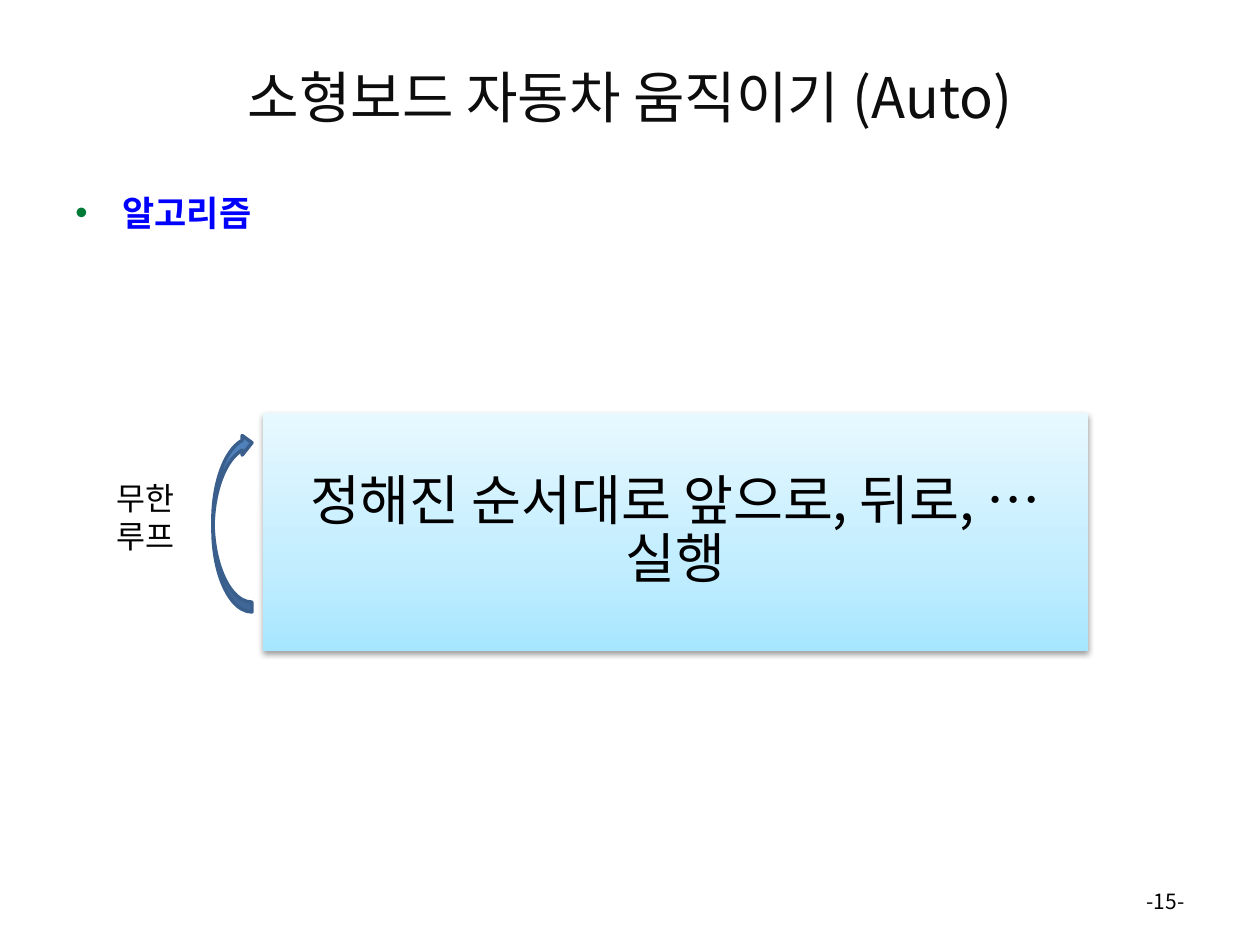
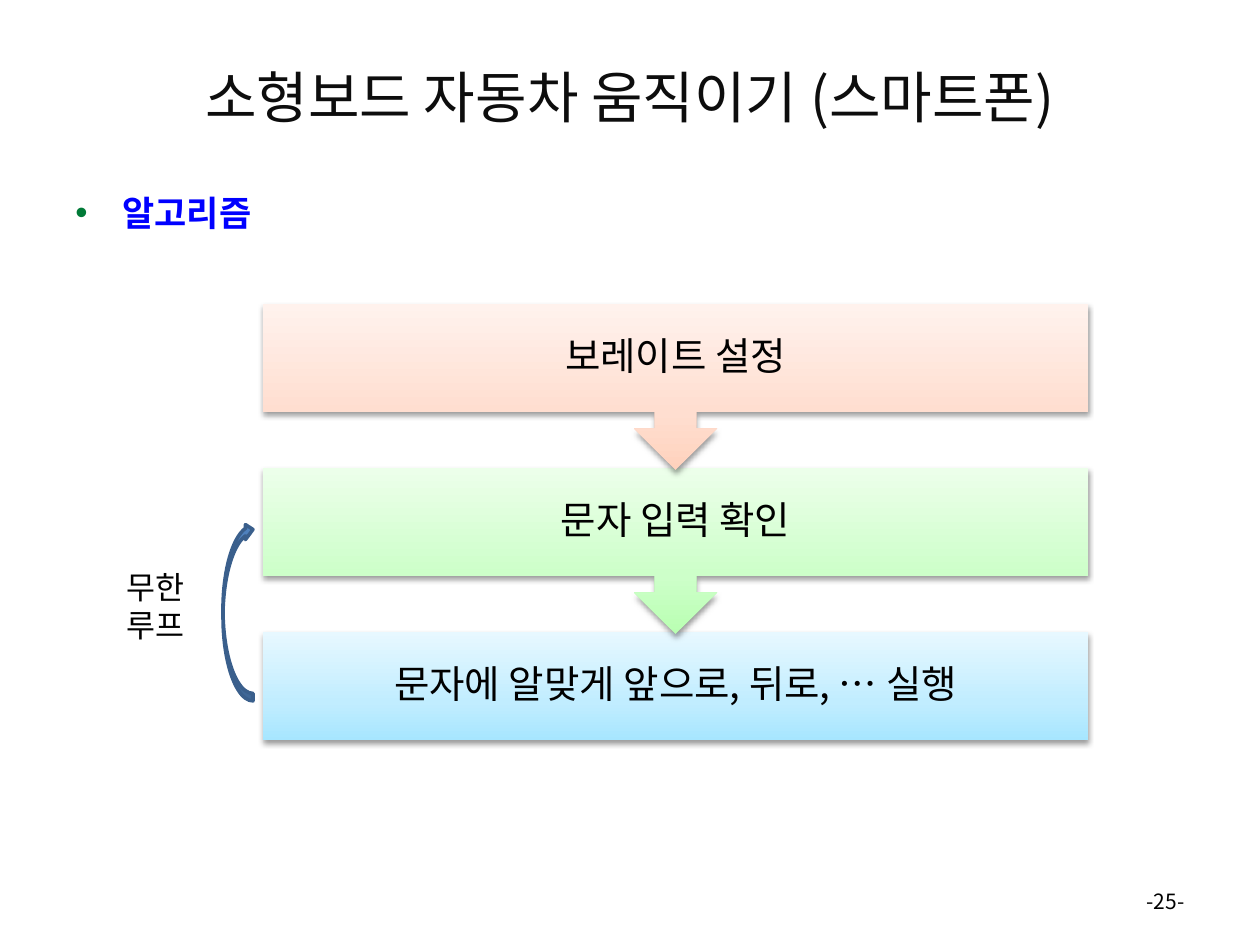
import pptx
import pptx.util
import pptx.oxml
import pptx.oxml.ns
import pptx.dml.color
import pptx.enum.shapes
import pptx.enum.text

SCALE = 914400 / 126  # EMU per px
FONT = "Noto Sans CJK KR"
ALIGN = pptx.enum.text.PP_ALIGN
MIDDLE = pptx.enum.text.MSO_ANCHOR.MIDDLE
SHAPE = pptx.enum.shapes.MSO_SHAPE
qn = pptx.oxml.ns.qn
SPACE = 'xmlns:a="http://schemas.openxmlformats.org/drawingml/2006/main"'

# Gradients run from the bottom edge to the top edge
BLUE = ("A7E6FF", "C1EDFF", "E7F8FF")
GREEN = ("B9FFB2", "CDFFC9", "ECFFEA")
ORANGE = ("FFD2BD", "FFDED0", "FFF2ED")
STOPS = (0, 35000, 100000)
SHADOW = (f'<a:effectLst {SPACE}><a:outerShdw blurRad="40000" dist="20000" dir="5400000" '
          'rotWithShape="0"><a:srgbClr val="000000"><a:alpha val="38000"/></a:srgbClr>'
          '</a:outerShdw></a:effectLst>')


def color(value):
    return pptx.dml.color.RGBColor.from_string(value)


def write(shape, lines, size, ink="000000", bold=False, frame_format=None, **para_format):
    frame = shape.text_frame
    frame.word_wrap = True
    for name, value in (frame_format or {}).items():
        setattr(frame, name, value)
    frame.text = "\n".join(lines)
    for para in frame.paragraphs:
        for name, value in para_format.items():
            setattr(para, name, value)
        span = para.runs[0]
        for name, value in {"name": FONT, "size": pptx.util.Pt(size), "bold": bold}.items():
            setattr(span.font, name, value)
        span.font.color.rgb = color(ink)
        east_asian = pptx.oxml.parse_xml(f'<a:ea {SPACE} typeface="{FONT}"/>')
        span.font._element.find(qn("a:latin")).addnext(east_asian)


# Steps are listed from back to front: text, kind, top, height, gradient
slides = [
    {"title": "소형보드 자동차 움직이기 (Auto)", "number": "-15-", "size": 31, "inset": 30,
     "loop": (213, 433, 39, 179),
     "steps": [("정해진 순서대로 앞으로, 뒤로, … 실행", SHAPE.RECTANGLE, 413, 238, BLUE)]},
    {"title": "소형보드 자동차 움직이기 (스마트폰)", "number": "-25-", "size": 22, "inset": 21,
     "loop": (223, 522, 30, 179),
     "steps": [("문자에 알맞게 앞으로, 뒤로, … 실행", SHAPE.RECTANGLE, 632, 108, BLUE),
               ("문자 입력 확인", SHAPE.DOWN_ARROW_CALLOUT, 468, 166, GREEN),
               ("보레이트 설정", SHAPE.DOWN_ARROW_CALLOUT, 304, 166, ORANGE)]},
]

deck = pptx.Presentation()
deck.slide_width, deck.slide_height = [round(px * SCALE) for px in (1260, 945)]

for content in slides:
    page = deck.slides.add_slide(deck.slide_layouts[5])

    # Title
    title = page.shapes.title
    place = dict(zip(("left", "top", "width", "height"), (63, 38, 1134, 117)))
    for name, px in place.items():
        setattr(title, name, round(px * SCALE))
    write(title, [content["title"]], 32, "0D0D0D",
          frame_format={"vertical_anchor": MIDDLE}, alignment=ALIGN.CENTER)

    # Bulleted heading
    heading = page.shapes.add_textbox(*[round(px * SCALE) for px in (63, 185, 1134, 659)])
    write(heading, ["알고리즘"], 20, "0000FF", bold=True, space_before=pptx.util.Pt(4))
    para_props = heading.text_frame.paragraphs[0]._p.get_or_add_pPr()
    indent = round(47 * SCALE)
    para_props.set("marL", str(indent))
    para_props.set("indent", str(-indent))
    for bullet in ('<a:buClr {}><a:srgbClr val="007A37"/></a:buClr>',
                   '<a:buFont {} typeface="Arial"/>', '<a:buChar {} char="•"/>'):
        para_props.append(pptx.oxml.parse_xml(bullet.format(SPACE)))

    # Page number
    number = page.shapes.add_textbox(*[round(px * SCALE) for px in (903, 876, 294, 50)])
    write(number, [content["number"]], 12,
          frame_format={"vertical_anchor": MIDDLE}, alignment=ALIGN.RIGHT)

    # Algorithm steps
    inset = round(content["inset"] * SCALE)
    step_frame = {f"margin_{side}": inset for side in ("left", "top", "right", "bottom")}
    step_frame["vertical_anchor"] = MIDDLE
    for text, kind, top, height, gradient in content["steps"]:
        step = page.shapes.add_shape(
            kind, *[round(px * SCALE) for px in (263, top, 825, height)])
        step.line.fill.background()
        stops = "".join(f'<a:gs pos="{stop}"><a:srgbClr val="{tint}"/></a:gs>'
                        for stop, tint in zip(STOPS, gradient))
        props = step._element.spPr
        props.find(qn("a:prstGeom")).addnext(pptx.oxml.parse_xml(
            f'<a:gradFill {SPACE}><a:gsLst>{stops}</a:gsLst>'
            '<a:lin ang="16200000" scaled="0"/></a:gradFill>'))
        props.append(pptx.oxml.parse_xml(SHADOW))
        write(step, [text], content["size"], frame_format=step_frame,
              alignment=ALIGN.CENTER, line_spacing=0.9,
              space_after=pptx.util.Pt(round(0.35 * content["size"])))

    # Loop arrow and its label
    left, top, width, height = content["loop"]
    arrow = page.shapes.add_shape(
        SHAPE.CURVED_RIGHT_ARROW, *[round(px * SCALE) for px in (left, top, width, height)])
    arrow.shadow.inherit = False
    arrow.fill.solid()
    arrow.fill.fore_color.rgb = color("4F81BD")
    arrow.line.color.rgb = color("3A5F8C")
    arrow.line.width = pptx.util.Pt(2)
    arrow._element.spPr.find(qn("a:xfrm")).set("flipV", "1")

    label = page.shapes.add_textbox(
        *[round(px * SCALE) for px in (left - 109, top + 40, 89, 89)])
    write(label, ["무한", "루프"], 18, frame_format={"word_wrap": False})

deck.save("out.pptx")
